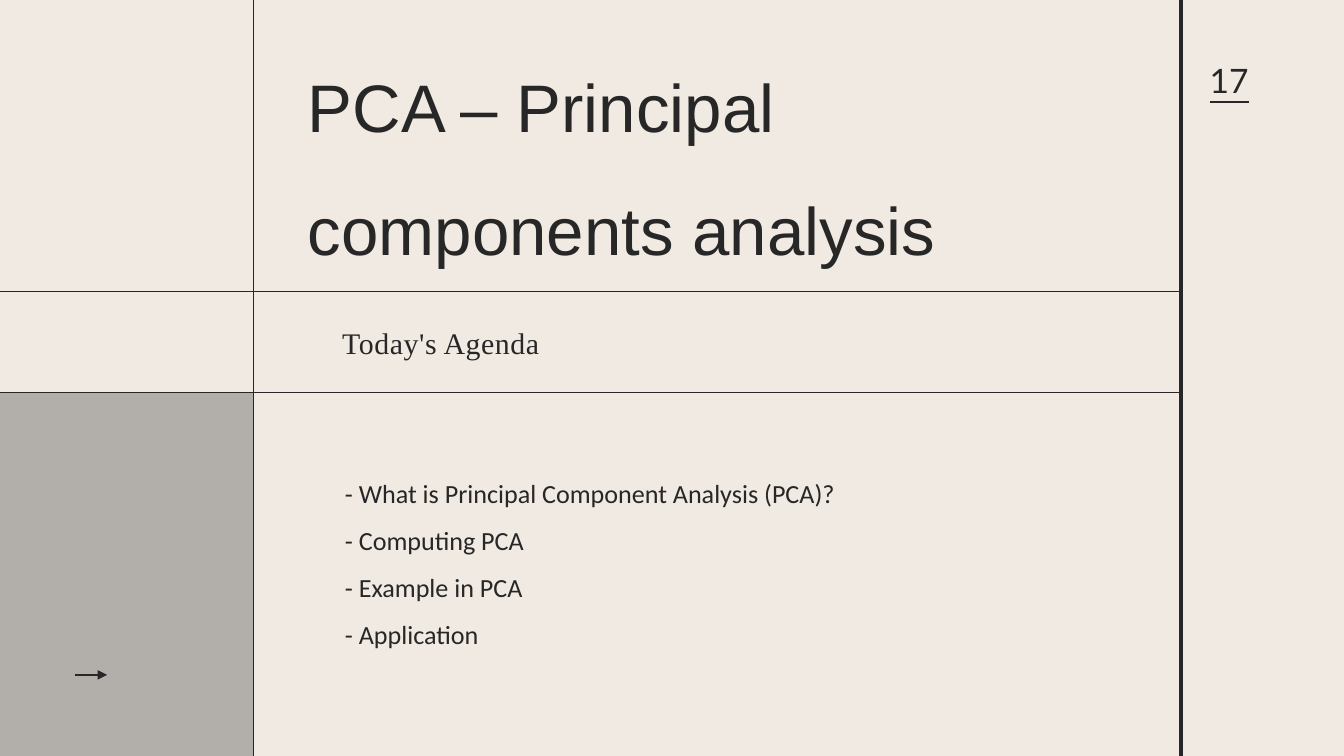
from lxml import etree
from pptx import Presentation
from pptx import util as u
from pptx.dml.color import RGBColor
from pptx.enum import shapes, text
from pptx.oxml.ns import qn

WIDTH, HEIGHT = u.Inches(20), u.Inches(11.25)
PAPER = RGBColor(0xF0, 0xEA, 0xE2)
GREY = RGBColor(0xB2, 0xAE, 0xA9)
INK = RGBColor(0x27, 0x27, 0x27)

COLUMNS = [0, 0.1883, 0.8788, 1]
ROWS = [0, 0.3853, 0.5187, 1]
AGENDA = [
    "- What is Principal Component Analysis (PCA)?",
    "- Computing PCA",
    "- Example in PCA",
    "- Application",
]


def cell(column, row):
    left, top = COLUMNS[column] * WIDTH, ROWS[row] * HEIGHT
    return (left, top, COLUMNS[column + 1] * WIDTH - left,
            ROWS[row + 1] * HEIGHT - top)


def inset(box, left, top, width, height):
    return [round(value) for value in (
        box[0] + left * box[2], box[1] + top * box[3],
        width * box[2], height * box[3])]


def add_line(slide, start, end, weight):
    points = [round(value) for value in (*start, *end)]
    line = slide.shapes.add_connector(shapes.MSO_CONNECTOR.STRAIGHT, *points)
    line.line.color.rgb = INK
    line.line.width = u.Pt(weight)
    etree.SubElement(line._element.spPr, qn("a:effectLst"))
    return line


def write(shape, lines, font_name, size, line_spacing):
    frame = shape.text_frame
    frame.text = "\n".join(lines)
    frame.word_wrap = True
    frame.auto_size = text.MSO_AUTO_SIZE.NONE
    frame.vertical_anchor = text.MSO_ANCHOR.TOP
    frame.margin_left = frame.margin_right = 0
    frame.margin_top = frame.margin_bottom = 0
    for paragraph in frame.paragraphs:
        paragraph.alignment = text.PP_ALIGN.LEFT
        paragraph.line_spacing = line_spacing
        for run in paragraph.runs:
            run.font.name = font_name
            run.font.size = u.Pt(size)
            run.font.color.rgb = INK
    return frame.paragraphs[0].runs[0]


def add_arrow_panel(slide, box):
    panel = slide.shapes.add_shape(
        shapes.MSO_SHAPE.RECTANGLE, *inset(box, 0, 0, 1, 1))
    panel.shadow.inherit = False
    panel.fill.solid()
    panel.fill.fore_color.rgb = GREY
    panel.line.fill.background()
    left, top, width, _ = inset(box, 0.298, 0.777, 0.125, 0)
    arrow = add_line(slide, (left, top), (left + width, top), 2)
    etree.SubElement(arrow.line._get_or_add_ln(), qn("a:tailEnd"),
                     type="triangle", w="lg", len="lg")


def add_title(slide, box):
    title = slide.shapes.title
    title.left, title.top, title.width, title.height = inset(
        box, 0.059, 0.078, 0.881, 0.828)
    write(title, ["PCA – Principal components analysis"], "Arial", 72, u.Pt(132))


def add_subtitle(slide, box):
    subtitle = slide.shapes.add_textbox(*inset(box, 0.096, 0.297, 0.712, 0.38))
    run = write(subtitle, ["Today's Agenda"], "Times New Roman", 32, u.Pt(42))
    run._r.get_or_add_rPr().set("spc", "60")


def add_agenda(slide, box):
    agenda = slide.shapes.add_textbox(*inset(box, 0.099, 0.19, 0.712, 0.522))
    write(agenda, AGENDA, "Calibri", 28, 1.5)


def add_page_number(slide, box):
    number = slide.shapes.add_textbox(*inset(box, 0.175, 0.182, 0.371, 0.164))
    run = write(number, ["17"], "Lato", 36, u.Pt(50.4))
    run.font.underline = True


def add_rules(slide):
    for column, weight in ((1, 0.75), (2, 3.6)):
        x = COLUMNS[column] * WIDTH
        add_line(slide, (x, 0), (x, HEIGHT), weight)
    for row in (1, 2):
        y = ROWS[row] * HEIGHT
        add_line(slide, (0, y), (COLUMNS[2] * WIDTH, y), 0.75)


def main():
    presentation = Presentation()
    presentation.slide_width, presentation.slide_height = WIDTH, HEIGHT
    slide = presentation.slides.add_slide(presentation.slide_layouts[5])
    slide.background.fill.solid()
    slide.background.fill.fore_color.rgb = PAPER
    add_arrow_panel(slide, cell(0, 2))
    add_title(slide, cell(1, 0))
    add_subtitle(slide, cell(1, 1))
    add_agenda(slide, cell(1, 2))
    add_rules(slide)
    add_page_number(slide, cell(2, 0))
    presentation.save("out.pptx")


if __name__ == "__main__":
    main()
